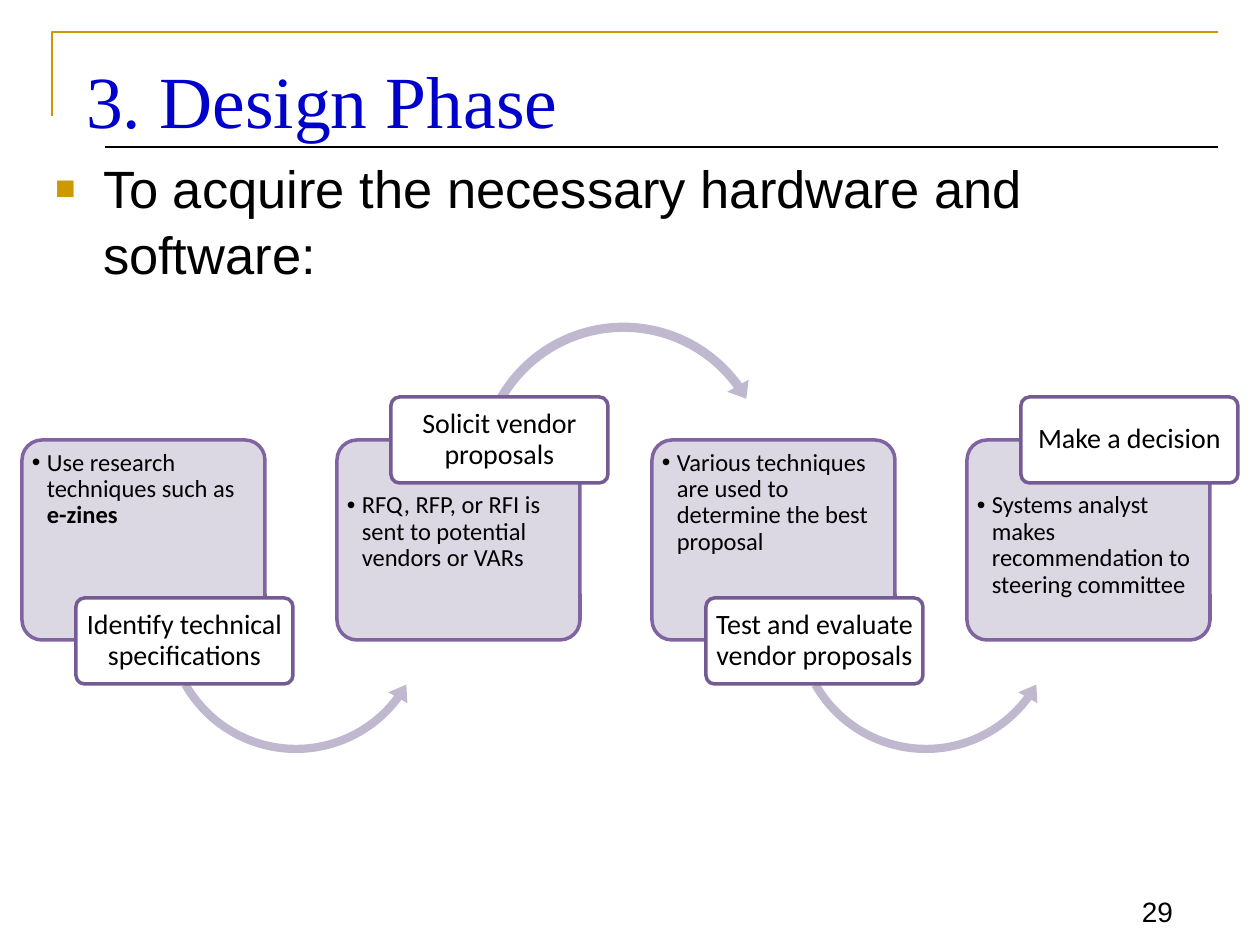
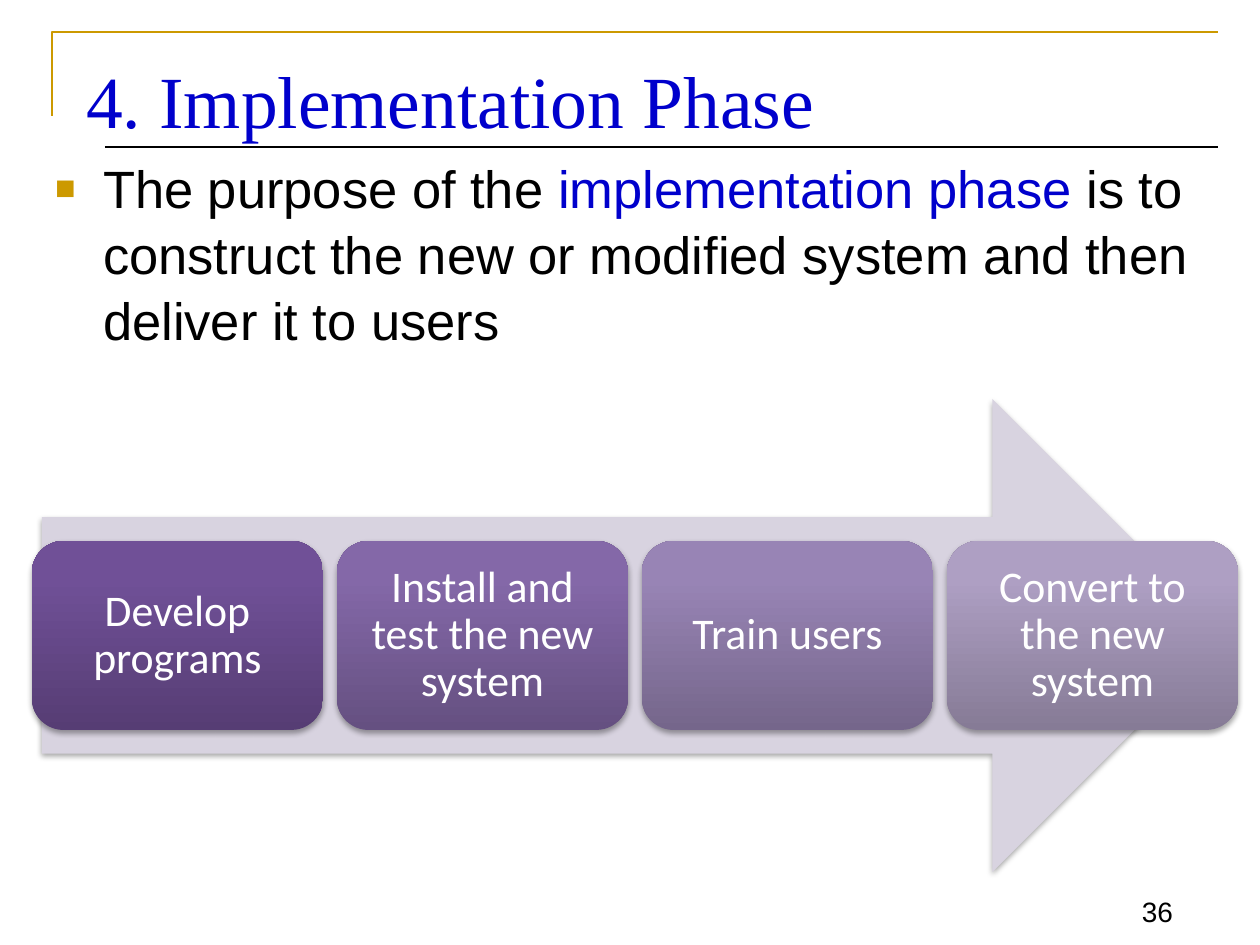
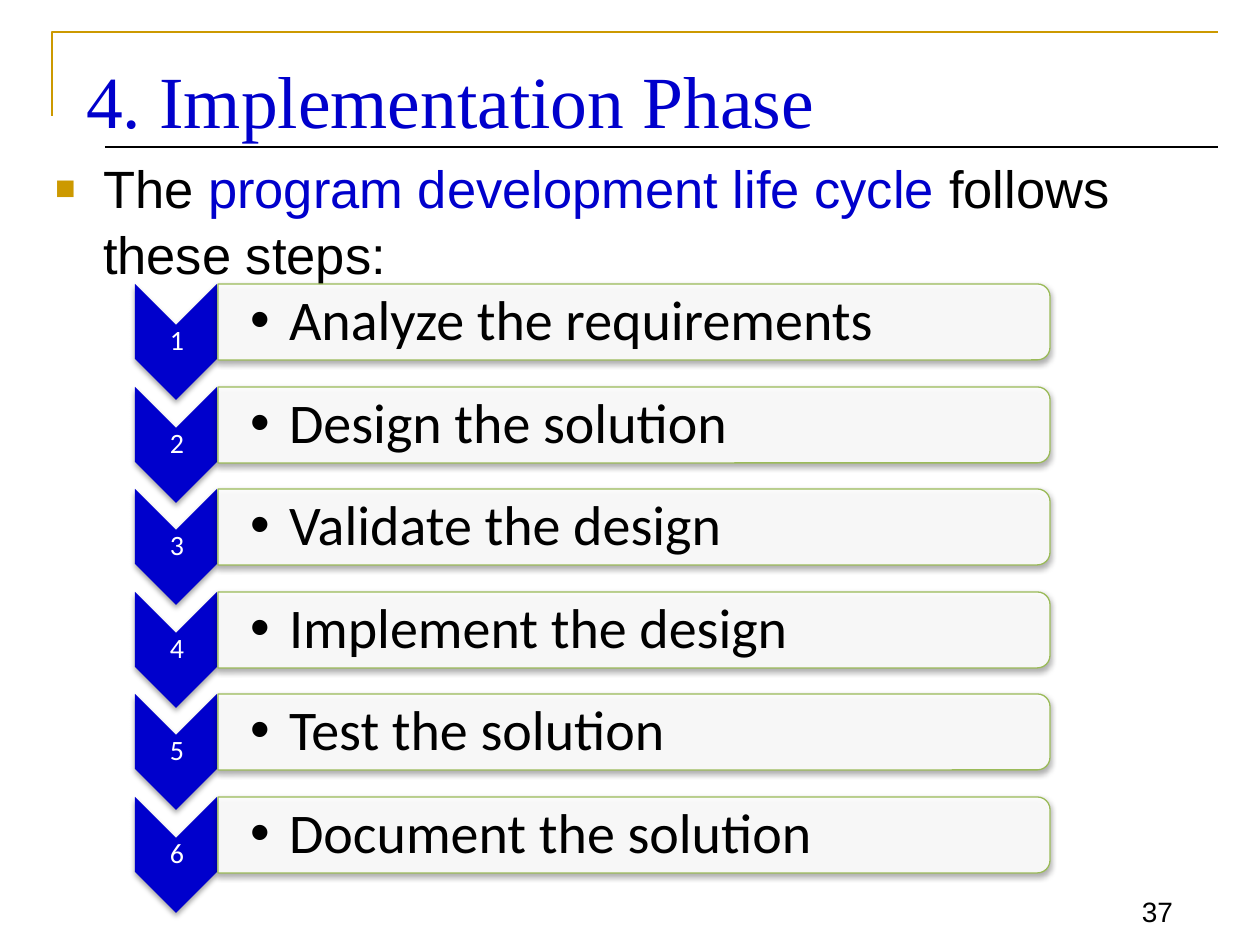
"""Build three slides on the design and implementation phases."""
import pptx
import pptx.dml.color
import pptx.enum.dml
import pptx.enum.shapes
import pptx.enum.text
import pptx.oxml.ns
import pptx.util
from lxml import etree

RGB = pptx.dml.color.RGBColor
SHAPE = pptx.enum.shapes.MSO_SHAPE
ALIGN = pptx.enum.text.PP_ALIGN
ANCHOR = pptx.enum.text.MSO_ANCHOR
qn = pptx.oxml.ns.qn

BLACK = RGB(0x00, 0x00, 0x00)
WHITE = RGB(0xFF, 0xFF, 0xFF)
BLUE = RGB(0x00, 0x00, 0xCC)
GOLD = RGB(0xCC, 0x99, 0x00)
GREEN = RGB(0x9B, 0xBB, 0x59)
LILAC = RGB(0xD8, 0xD3, 0xE0)
MAUVE = RGB(0xC0, 0xB8, 0xCE)
PURPLE = RGB(0x80, 0x64, 0xA2)
PLUM = RGB(0x74, 0x5B, 0x93)
BLOCK_SHADES = [
    (RGB(0x56, 0x3D, 0x74), RGB(0x70, 0x50, 0x97)),
    (RGB(0x65, 0x50, 0x81), RGB(0x84, 0x68, 0xA8)),
    (RGB(0x75, 0x66, 0x8B), RGB(0x98, 0x84, 0xB5)),
    (RGB(0x86, 0x7B, 0x96), RGB(0xAE, 0x9F, 0xC3)),
]
EMU_PER_PX = 914400 / 126


def px(n):
    return pptx.util.Emu(round(n * EMU_PER_PX))


class Deck:
    def __init__(self):
        self.prs = pptx.Presentation()
        self.prs.slide_width = px(1260)
        self.prs.slide_height = px(945)
        self.s = None

    def slide(self, title, body, body_height, number):
        self.s = self.prs.slides.add_slide(self.prs.slide_layouts[5])
        self.frame()
        self.text(1103, 872, 83, 62, str(number), 16, font="Arial",
                  align=ALIGN.RIGHT, anchor=ANCHOR.BOTTOM,
                  insets=(13, 6, 13, 6), spacing=1.0)
        sp = self.s.shapes.title
        sp.left, sp.top, sp.width, sp.height = px(73), px(42), px(1145), px(95)
        self.fill_text(sp.text_frame, title, 42, BLUE, "Times New Roman",
                       insets=(13, 13, 13, 0), spacing=1.0)
        tf = self.text(42, 147, 1176, body_height, body, 30, font="Arial",
                       accent=BLUE, insets=(13, 6, 13, 6), spacing=1.05)
        tf.paragraphs[0].space_before = pptx.util.Pt(6)
        self.bullet(tf, 48, "■", GOLD, 65)

    def frame(self):
        fb = self.s.shapes.build_freeform(52, 116, scale=EMU_PER_PX)
        fb.add_line_segments([(52, 32), (1218, 32)], close=False)
        self.style(fb.convert_to_shape(), None, GOLD, 1.5)
        rule = self.s.shapes.add_connector(
            pptx.enum.shapes.MSO_CONNECTOR.STRAIGHT,
            px(105), px(147), px(1218), px(147))
        rule.line.color.rgb = BLACK
        rule.line.width = pptx.util.Pt(0.75)
        etree.SubElement(rule._element.spPr, qn("a:effectLst"))

    def style(self, sp, fill, line=None, width=1.0, alpha=None):
        sp.shadow.inherit = False
        if fill is None:
            sp.fill.background()
        else:
            sp.fill.solid()
            sp.fill.fore_color.rgb = fill
        if alpha:
            clr = sp._element.spPr.find(".//" + qn("a:srgbClr"))
            etree.SubElement(clr, qn("a:alpha"), val=str(alpha * 1000))
        if line is None:
            sp.line.fill.background()
        else:
            sp.line.color.rgb = line
            sp.line.width = pptx.util.Pt(width)

    def shape(self, kind, x, y, w, h, fill, line=None, width=1.0, alpha=None,
              adjust=(), rotation=0, shadow=False):
        sp = self.s.shapes.add_shape(kind, px(x), px(y), px(w), px(h))
        sp.rotation = rotation
        for i, value in enumerate(adjust):
            sp.adjustments[i] = value
        self.style(sp, fill, line, width, alpha)
        if shadow:
            self.drop_shadow(sp)
        return sp

    def drop_shadow(self, sp):
        effects = sp._element.spPr.find(qn("a:effectLst"))
        outer = etree.SubElement(effects, qn("a:outerShdw"), blurRad="40000",
                                 dist="23000", dir="5400000", rotWithShape="0")
        clr = etree.SubElement(outer, qn("a:srgbClr"), val=str(BLACK))
        etree.SubElement(clr, qn("a:alpha"), val="35000")

    def gradient(self, sp, low, high):
        sp.fill.gradient()
        sp.fill.gradient_angle = 90
        stops = sp.fill.gradient_stops
        for stop, color, position in zip(stops, (low, high), (0, 0.8)):
            stop.color.rgb = color
            stop.position = position

    def text(self, x, y, w, h, text, size, color=BLACK, **options):
        sp = self.s.shapes.add_textbox(px(x), px(y), px(w), px(h))
        self.fill_text(sp.text_frame, text, size, color, **options)
        return sp.text_frame

    def fill_text(self, tf, text, size, color=BLACK, font="Calibri",
                  accent=None, align=ALIGN.LEFT, anchor=ANCHOR.TOP,
                  insets=(0, 0, 0, 0), spacing=0.9):
        tf.word_wrap = True
        tf.auto_size = pptx.enum.text.MSO_AUTO_SIZE.NONE
        tf.vertical_anchor = anchor
        (tf.margin_left, tf.margin_top,
         tf.margin_right, tf.margin_bottom) = map(px, insets)
        p = tf.paragraphs[0]
        p.alignment = align
        p.line_spacing = spacing
        for i, part in enumerate(text.split("*")):
            if not part:
                continue
            r = p.add_run()
            r.text = part
            r.font.name = font
            r.font.size = pptx.util.Pt(size)
            emphasised = i % 2 == 1
            r.font.color.rgb = accent if emphasised and accent else color
            r.font.bold = emphasised and accent is None

    def bullet(self, tf, indent, char="•", color=None, percent=100):
        pPr = tf.paragraphs[0]._p.get_or_add_pPr()
        pPr.set("marL", str(px(indent)))
        pPr.set("indent", str(-px(indent)))
        if color is not None:
            clr = etree.SubElement(pPr, qn("a:buClr"))
            etree.SubElement(clr, qn("a:srgbClr"), val=str(color))
        etree.SubElement(pPr, qn("a:buSzPct"), val=str(percent * 1000))
        etree.SubElement(pPr, qn("a:buFont"), typeface="Arial")
        etree.SubElement(pPr, qn("a:buChar"), char=char)


def design_slide(deck):
    deck.slide("3. Design Phase",
               "To acquire the necessary hardware and software:", 147, 29)
    steps = [
        ("Identify technical specifications",
         "Use research techniques such as *e-zines*"),
        ("Solicit vendor proposals",
         "RFQ, RFP, or RFI is sent to potential vendors or VARs"),
        ("Test and evaluate vendor proposals",
         "Various techniques are used to determine the best proposal"),
        ("Make a decision",
         "Systems analyst makes recommendation to steering committee"),
    ]
    for i, (label, detail) in enumerate(steps):
        x = 22 + 315 * i
        label_on_top = i % 2 == 1
        panel = deck.shape(SHAPE.ROUNDED_RECTANGLE, x, 440, 243, 200, LILAC,
                           PURPLE, 2, alpha=90, adjust=[0.1])
        deck.fill_text(panel.text_frame, detail, 14,
                       insets=(4, 47 if label_on_top else 4, 4, 4))
        deck.bullet(panel.text_frame, 15)
        if i < len(steps) - 1:
            if label_on_top:
                deck.shape(SHAPE.CIRCULAR_ARROW, x + 133, 315, 307, 307, MAUVE,
                           adjust=[0.03, 3.77, 194.48, 125.76, 0.04])
            else:
                deck.shape(SHAPE.LEFT_CIRCULAR_ARROW, x + 136, 484, 276, 276,
                           MAUVE, adjust=[0.03, 4.23, 21.98, 90.25, 0.04])
        tag = deck.shape(SHAPE.ROUNDED_RECTANGLE, x + 54,
                         397 if label_on_top else 598, 217, 86, WHITE, PLUM, 2,
                         adjust=[0.1])
        deck.fill_text(tag.text_frame, label, 16, align=ALIGN.CENTER,
                       anchor=ANCHOR.MIDDLE, insets=(4, 3, 4, 3))


def implementation_slide(deck):
    deck.slide("4. Implementation Phase",
               "The purpose of the *implementation phase *is to construct the "
               "new or modified system and then deliver it to users", 210, 36)
    deck.shape(SHAPE.RIGHT_ARROW, 42, 399, 1187, 473, LILAC, shadow=True)
    stages = ["Develop programs", "Install and test the new system",
              "Train users", "Convert to the new system"]
    for i, (stage, shades) in enumerate(zip(stages, BLOCK_SHADES)):
        block = deck.shape(SHAPE.ROUNDED_RECTANGLE, 32 + 305 * i, 541, 291, 189,
                           shades[0], shadow=True)
        deck.gradient(block, *shades)
        deck.fill_text(block.text_frame, stage, 25, WHITE, align=ALIGN.CENTER,
                       anchor=ANCHOR.MIDDLE, insets=(13, 13, 13, 13))


def life_cycle_slide(deck):
    deck.slide("4. Implementation Phase",
               "The *program development life cycle *follows these steps:",
               158, 37)
    steps = ["Analyze the requirements", "Design the solution",
             "Validate the design", "Implement the design",
             "Test the solution", "Document the solution"]
    for i, step in enumerate(steps):
        y = 284 + round(102.6 * i)
        deck.shape(SHAPE.CHEVRON, 118, y + 17, 116, 82, BLUE, rotation=90,
                   shadow=True)
        deck.text(136, y + 40, 82, 35, str(i + 1), 16, WHITE,
                  align=ALIGN.CENTER, anchor=ANCHOR.MIDDLE, insets=(1, 1, 1, 1))
        deck.shape(SHAPE.ROUND_2_SAME_RECTANGLE, 596, y - 378, 76, 832, WHITE,
                   GREEN, 0.75, alpha=90, rotation=90, shadow=True)
        tf = deck.text(218, y + 4, 828, 68, step, 32, anchor=ANCHOR.MIDDLE,
                       insets=(32, 2, 2, 2))
        deck.bullet(tf, 39)


def main():
    deck = Deck()
    design_slide(deck)
    implementation_slide(deck)
    life_cycle_slide(deck)
    deck.prs.save("out.pptx")


if __name__ == "__main__":
    main()
